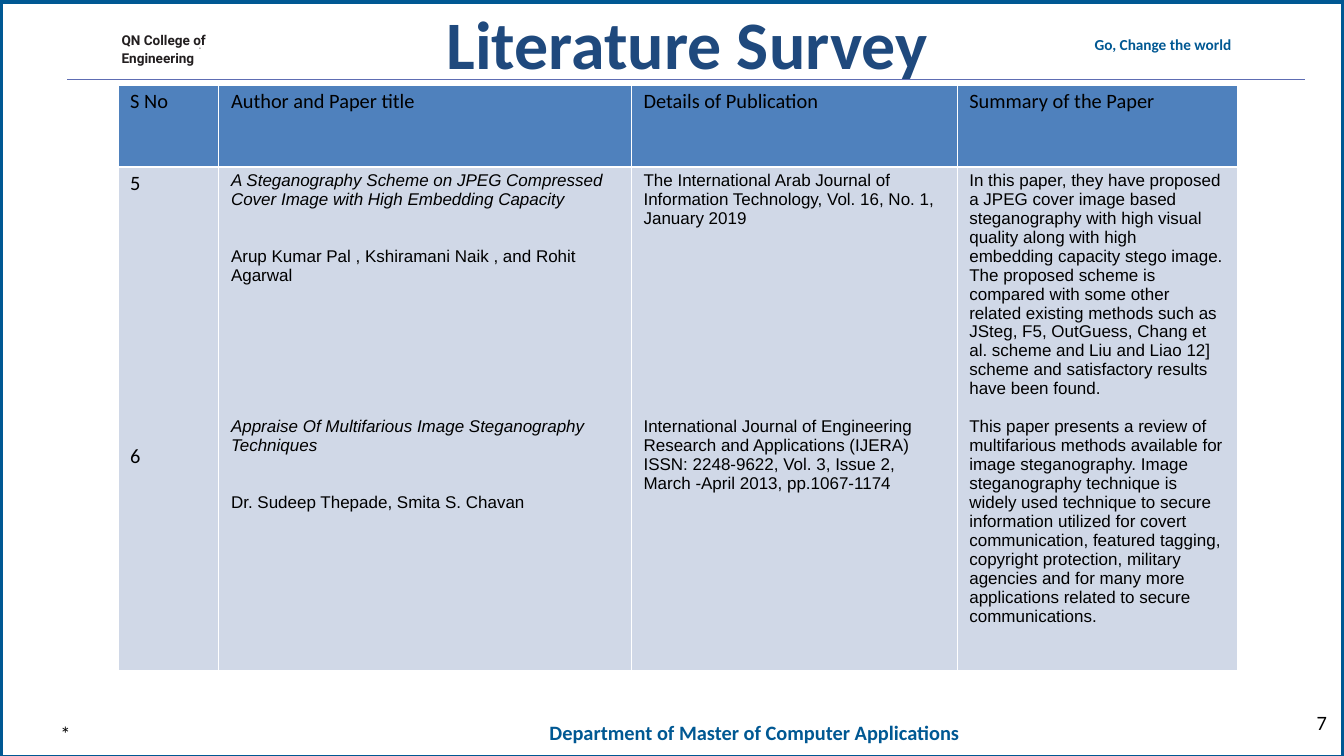
import pptx
import pptx.util
import pptx.dml.color
import pptx.enum.shapes
import pptx.enum.text
import pptx.oxml
import pptx.oxml.ns
from lxml import etree
from pptx.util import Inches

COLORS = {"blue": "005893", "navy": "1F497D", "ink": "231F20", "rule": "5E6DB3",
          "header": "4F81BD", "body": "D0D8E7", "black": "000000", "white": "FFFFFF"}
ALIGN = pptx.enum.text.PP_ALIGN
BODY_LINE = 22.34
NUMBER_LINE = 29.3
THIN, THICK = 0.96, 3

HEADINGS = ["S No", "Author and Paper title", "Details of Publication", "Summary of the Paper"]
COLUMN_WIDTHS = [1.65, 6.75, 5.33, 4.58]
ROW_HEIGHTS = [1.34, 8.24]
NUMBERS = [("5", 0, False), ("6", 10 * NUMBER_LINE, False)]
AUTHORS = [
    ("A Steganography Scheme on JPEG Compressed Cover Image with High Embedding Capacity", 0, True),
    ("Arup Kumar Pal , Kshiramani Naik , and Rohit Agarwal", 2 * BODY_LINE, False),
    ("Appraise Of Multifarious Image Steganography Techniques", 7 * BODY_LINE, True),
    ("Dr. Sudeep Thepade, Smita S. Chavan", 2 * BODY_LINE, False),
]
PUBLICATIONS = [
    ("The International Arab Journal of Information Technology, Vol. 16, No. 1, January 2019", 0, False),
    ("International Journal of Engineering Research and Applications (IJERA) ISSN: 2248-9622, "
     "Vol. 3, Issue 2, March -April 2013, pp.1067-1174", 10 * BODY_LINE, False),
]
SUMMARIES = [
    ("In this paper, they have proposed a JPEG cover image based steganography with high visual "
     "quality along with high embedding capacity stego image. The proposed scheme is compared with "
     "some other related existing methods such as JSteg, F5, OutGuess, Chang et al. scheme and Liu "
     "and Liao 12] scheme and satisfactory results have been found.", 0, False),
    ("This paper presents a review of multifarious methods available for image steganography. Image "
     "steganography technique is widely used technique to secure information utilized for covert "
     "communication, featured tagging, copyright protection, military agencies and for many more "
     "applications related to secure communications.", BODY_LINE, False),
]


class SurveySlide:
    """Hold the style and the current slide, and add its elements."""

    def __init__(self, deck):
        self.slide = deck.slides.add_slide(deck.slide_layouts[5])

    def rgb(self, color):
        return pptx.dml.color.RGBColor.from_string(COLORS[color])

    def add_text_run(self, paragraph, text, size, font, color, bold=False, italic=False):
        run = paragraph.add_run()
        run.text = text
        run.font.size = pptx.util.Pt(size)
        run.font.name = font
        run.font.bold = bold
        run.font.italic = italic
        run.font.color.rgb = self.rgb(color)

    def frame(self, left, top, width, height):
        border = self.slide.shapes.add_shape(
            pptx.enum.shapes.MSO_SHAPE.RECTANGLE,
            Inches(left), Inches(top), Inches(width), Inches(height))
        border.shadow.inherit = False
        border.fill.solid()
        border.fill.fore_color.rgb = self.rgb("white")
        border.line.color.rgb = self.rgb("blue")
        border.line.width = pptx.util.Pt(6)
        self.slide.shapes.title.element.addprevious(border.element)

    def rule(self, left, right, y):
        divider = self.slide.shapes.add_connector(
            pptx.enum.shapes.MSO_CONNECTOR.STRAIGHT,
            Inches(left), Inches(y), Inches(right), Inches(y))
        divider.line.color.rgb = self.rgb("rule")
        divider.line.width = pptx.util.Pt(1.25)
        properties = divider.element.find(pptx.oxml.ns.qn("p:spPr"))
        etree.SubElement(properties, pptx.oxml.ns.qn("a:effectLst"))

    def fill_text(self, shape, lines, size, color, font="Calibri", bold=False,
                  align=ALIGN.LEFT, inset=0, spacing=None):
        frame = shape.text_frame
        frame.word_wrap = True
        frame.auto_size = pptx.enum.text.MSO_AUTO_SIZE.SHAPE_TO_FIT_TEXT
        frame.vertical_anchor = pptx.enum.text.MSO_ANCHOR.TOP
        frame.margin_left = frame.margin_right = frame.margin_bottom = 0
        frame.margin_top = Inches(inset)
        for index, line in enumerate(lines):
            paragraph = frame.add_paragraph() if index else frame.paragraphs[0]
            paragraph.alignment = align
            paragraph.line_spacing = spacing
            paragraph.space_before = pptx.util.Pt(1 if index else 0)
            self.add_text_run(paragraph, line, size, font, color, bold)

    def title(self, text, left, top, width, height):
        heading = self.slide.shapes.title
        heading.left, heading.top = Inches(left), Inches(top)
        heading.width, heading.height = Inches(width), Inches(height)
        self.fill_text(heading, [text], 80, "navy", bold=True, align=ALIGN.CENTER)

    def text(self, lines, left, top, width, height, size, color, **style):
        label = self.slide.shapes.add_textbox(
            Inches(left), Inches(top), Inches(width), Inches(height))
        self.fill_text(label, lines, size, color, **style)

    def cell(self, cell, entries, fill, size, font, top, bottom):
        cell.margin_left = cell.margin_right = Inches(0.2)
        cell.margin_top = cell.margin_bottom = Inches(0.07)
        cell.fill.solid()
        cell.fill.fore_color.rgb = self.rgb(fill)
        edges = [("L", THIN), ("R", THIN), ("T", top), ("B", bottom)]
        for position, (side, points) in enumerate(edges):
            edge = pptx.oxml.parse_xml(
                f'<a:ln{side} {pptx.oxml.ns.nsdecls("a")} w="{pptx.util.Pt(points)}"><a:solidFill>'
                f'<a:srgbClr val="{COLORS["white"]}"/></a:solidFill></a:ln{side}>')
            cell._tc.get_or_add_tcPr().insert(position, edge)
        frame = cell.text_frame
        for index, (text, gap, italic) in enumerate(entries):
            paragraph = frame.add_paragraph() if index else frame.paragraphs[0]
            paragraph.space_before = pptx.util.Pt(gap)
            self.add_text_run(paragraph, text, size, font, "black", italic=italic)

    def table(self, left, top, columns):
        survey = self.slide.shapes.add_table(
            len(ROW_HEIGHTS), len(COLUMN_WIDTHS), Inches(left), Inches(top),
            Inches(sum(COLUMN_WIDTHS)), Inches(sum(ROW_HEIGHTS))).table
        survey.horz_banding = False
        for row, height in zip(survey.rows, ROW_HEIGHTS):
            row.height = Inches(height)
        for index, (heading, width, entries) in enumerate(zip(HEADINGS, COLUMN_WIDTHS, columns)):
            survey.columns[index].width = Inches(width)
            size, font = (20, "Arial") if index else (24, "Calibri")
            self.cell(survey.cell(0, index), [(heading, 0, False)], "header", 24, "Calibri", THIN, THICK)
            self.cell(survey.cell(1, index), entries, "body", size, font, THICK, THIN)


def main():
    deck = pptx.Presentation()
    deck.slide_width, deck.slide_height = Inches(21.99), Inches(12.37)
    survey = SurveySlide(deck)
    survey.frame(0, 0.02, 21.99, 12.37)
    survey.rule(1.1, 21.36, 1.3)
    survey.text(["QN College of", "Engineering"], 1.99, 0.48, 1.5, 0.54, 16, "ink",
                font="Roboto", bold=True, inset=0.02, spacing=1.06)
    survey.text(["®"], 3.26, 0.76, 0.1, 0.1, 6, "ink")
    survey.text(["Go, Change the world"], 17.91, 0.56, 3.03, 0.32, 18, "blue", bold=True, inset=0.01)
    survey.text(["Department of Master of Computer Applications"], 8.99, 11.77, 7.58, 0.42, 24,
                "blue", bold=True, inset=0.01)
    survey.table(1.93, 1.39, [NUMBERS, AUTHORS, PUBLICATIONS, SUMMARIES])
    survey.title("Literature Survey", 5.66, 0.02, 11.17, 1.35)
    survey.text(["*"], 0.99, 11.8, 5.06, 0.4, 24, "black")
    survey.text(["7"], 18.74, 11.62, 2.97, 0.4, 24, "black", align=ALIGN.RIGHT)
    deck.save("out.pptx")


if __name__ == "__main__":
    main()
